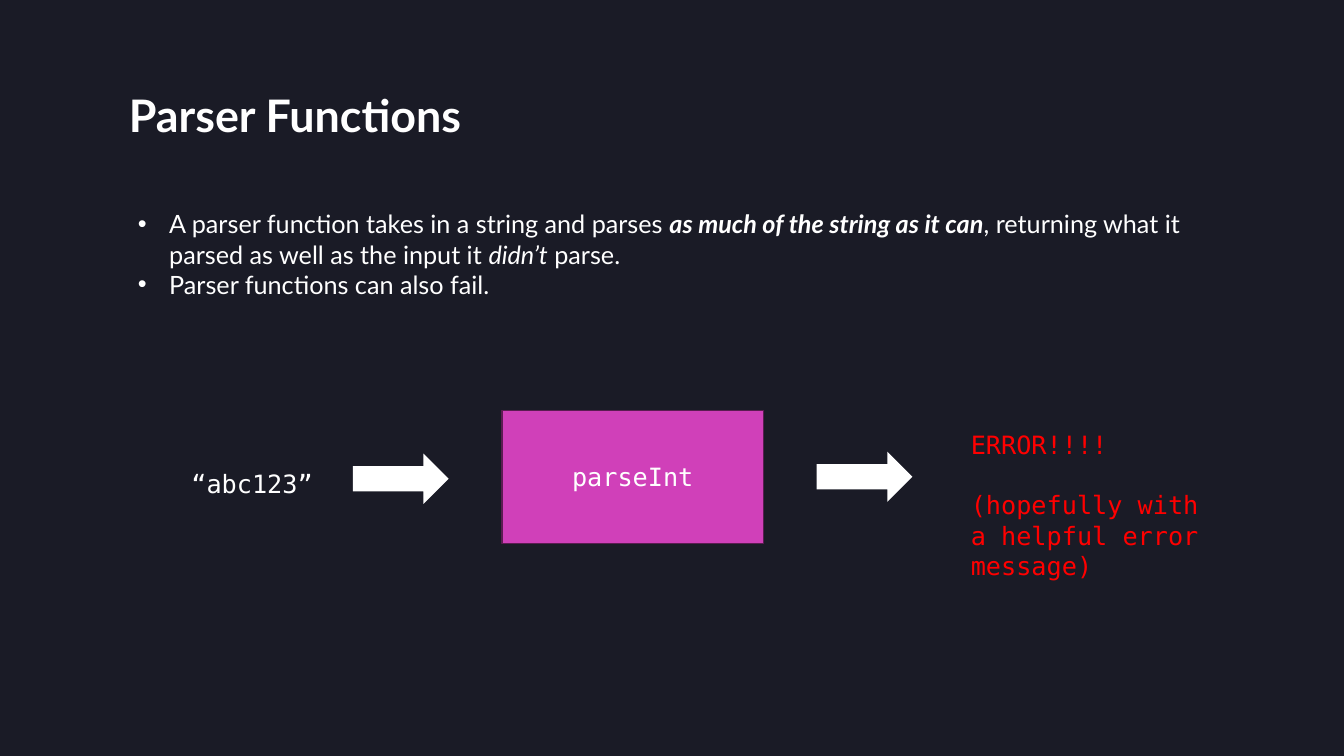
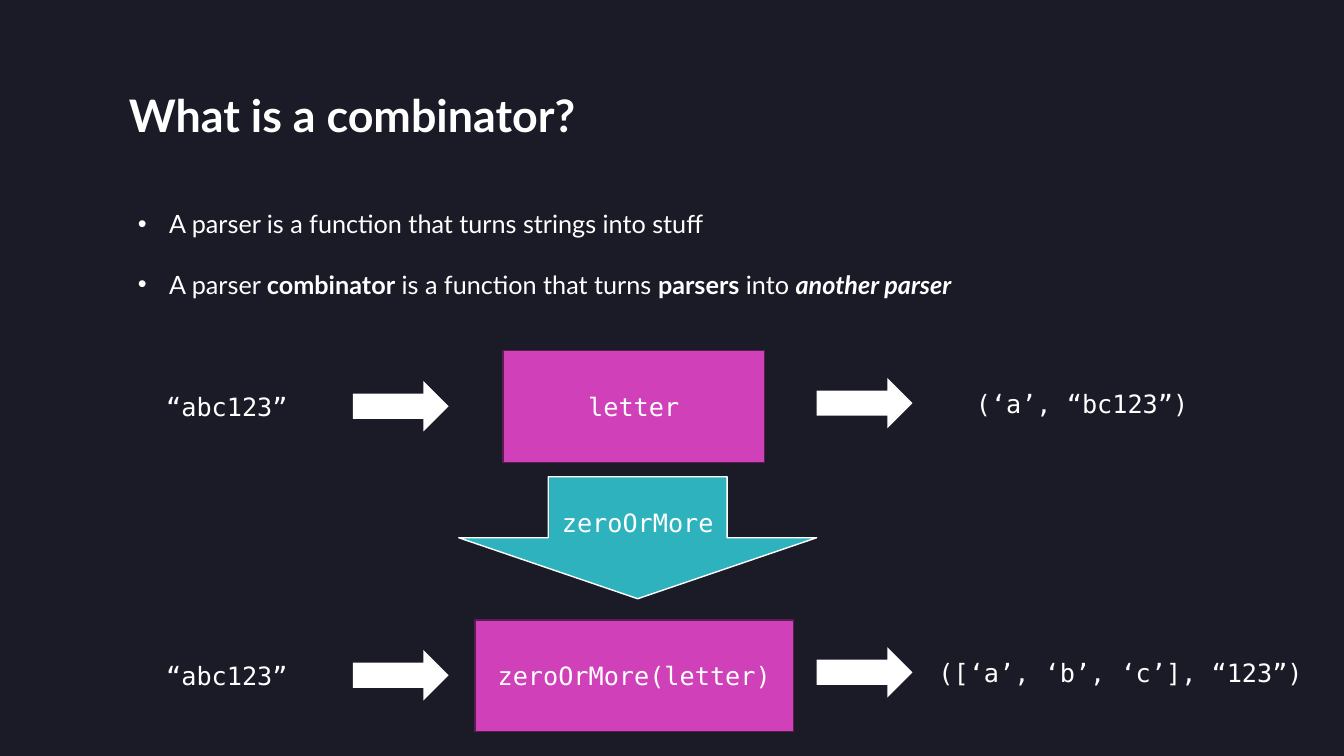
"""Build two slides on parser functions and parser combinators."""
from dataclasses import dataclass

from lxml.etree import SubElement
from pptx import Presentation
from pptx.dml.color import RGBColor
from pptx.enum.shapes import MSO_SHAPE
from pptx.enum.text import MSO_ANCHOR, PP_ALIGN
from pptx.oxml.ns import qn
from pptx.util import Inches, Pt


@dataclass(frozen=True)
class Theme:
    night: str = "1A1B26"
    white: str = "FFFFFF"
    magenta: str = "D040B9"
    plum: str = "5B1C51"
    teal: str = "2EB3BE"
    red: str = "FF0000"
    prose: str = "Lato"
    code: str = "DejaVu Sans Mono"
    title_size: int = 32
    body_size: int = 18
    line_gap: float = 21.5


class Deck:
    def __init__(self, theme):
        self.theme = theme
        self.presentation = Presentation()
        self.presentation.slide_width = Inches(13.33)
        self.presentation.slide_height = Inches(7.5)
        self.slide = None

    def start_slide(self, title):
        self.slide = self.presentation.slides.add_slide(self.presentation.slide_layouts[6])
        background = self.slide.background.fill
        background.solid()
        background.fore_color.rgb = RGBColor.from_string(self.theme.night)
        frame = self.frame(1.18, 0.57, 10.88, 0.88)
        frame.vertical_anchor = MSO_ANCHOR.BOTTOM
        heading = frame.paragraphs[0]
        heading.line_spacing = 1.1
        heading.text = title
        self.style(heading, self.theme.prose, size=self.theme.title_size)
        heading.font.bold = True

    def frame(self, left, top, width, height):
        box = self.slide.shapes.add_textbox(Inches(left), Inches(top), Inches(width), Inches(height))
        box.text_frame.word_wrap = True
        return box.text_frame

    def style(self, paragraph, face, color=None, size=None):
        paragraph.font.name = face
        paragraph.font.size = Pt(size or self.theme.body_size)
        paragraph.font.color.rgb = RGBColor.from_string(color or self.theme.white)

    def paragraphs(self, frame, count, gap):
        for index in range(count):
            paragraph = frame.add_paragraph() if index else frame.paragraphs[0]
            if index and gap:
                paragraph.space_before = Pt(gap)
            yield paragraph

    def bullets(self, points, gap=0):
        frame = self.frame(1.27, 2.02, 10.79, 1.62)
        for paragraph, point in zip(self.paragraphs(frame, len(points), gap), points):
            properties = paragraph._p.get_or_add_pPr()
            properties.set("marL", str(Inches(0.31)))
            properties.set("indent", str(-Inches(0.31)))
            SubElement(properties, qn("a:buFont"), typeface="Arial")
            SubElement(properties, qn("a:buChar"), char="•")
            self.style(paragraph, self.theme.prose)
            for words, emphasis in point:
                run = paragraph.add_run()
                run.text = words
                if "b" in emphasis:
                    run.font.bold = True
                if "i" in emphasis:
                    run.font.italic = True

    def code(self, lines, left, top, width, height=0.4, color=None):
        frame = self.frame(left, top, width, height)
        for paragraph, line in zip(self.paragraphs(frame, len(lines), self.theme.line_gap), lines):
            paragraph.text = line
            self.style(paragraph, self.theme.code, color)

    def block(self, preset, left, top, width, height, fill, outline=None, label=None):
        shape = self.slide.shapes.add_shape(
            preset, Inches(left), Inches(top), Inches(width), Inches(height))
        shape.shadow.inherit = False
        shape.fill.solid()
        shape.fill.fore_color.rgb = RGBColor.from_string(fill)
        if outline:
            shape.line.color.rgb = RGBColor.from_string(outline)
            shape.line.width = Pt(1)
        else:
            shape.line.fill.background()
        if label:
            shape.text_frame.word_wrap = True
            shape.text_frame.vertical_anchor = MSO_ANCHOR.MIDDLE
            caption = shape.text_frame.paragraphs[0]
            caption.alignment = PP_ALIGN.CENTER
            caption.text = label
            self.style(caption, self.theme.code)

    def parser(self, name, left, top, width, height):
        self.block(MSO_SHAPE.RECTANGLE, left, top, width, height,
                   self.theme.magenta, self.theme.plum, name)

    def flow_arrows(self, input_top, output_top):
        for left, top in ((3.5, input_top), (8.1, output_top)):
            self.block(MSO_SHAPE.RIGHT_ARROW, left, top, 0.95, 0.5, self.theme.white)

    def combinator(self, name, left, top, width, height):
        self.block(MSO_SHAPE.DOWN_ARROW, left, top, width, height,
                   self.theme.teal, self.theme.white, name)

    def save(self):
        self.presentation.save("out.pptx")


def parser_functions(deck):
    deck.start_slide("Parser Functions")
    deck.bullets([
        [("A parser function takes in a string and parses ", ""),
         ("as much of the string as it can", "bi"),
         (", returning what it parsed as well as the input it ", ""),
         ("didn’t", "i"), (" parse.", "")],
        [("Parser functions can also fail.", "")],
    ])
    deck.parser("parseInt", 4.98, 4.07, 2.59, 1.32)
    deck.code(["“abc123”"], 1.8, 4.6, 2.06)
    deck.flow_arrows(4.5, 4.48)
    deck.code(["ERROR!!!!", "(hopefully with a helpful error message)"],
              9.53, 4.21, 2.59, 1.62, deck.theme.red)


def combinators(deck):
    deck.start_slide("What is a combinator?")
    deck.bullets([
        [("A parser is a function that turns strings into stuff", "")],
        [("A parser ", ""), ("combinator", "b"), (" is a function that turns ", ""),
         ("parsers", "b"), (" into ", ""), ("another parser", "bi")],
    ], deck.theme.line_gap)
    rows = (
        (3.48, "letter", 4.99, 2.59, "(‘a’, “bc123”)", 9.58, 2.73),
        (6.15, "zeroOrMore(letter)", 4.71, 3.16, "([‘a’, ‘b’, ‘c’], “123”)", 9.21, 4.06),
    )
    for top, name, left, width, result, result_left, result_width in rows:
        deck.parser(name, left, top, width, 1.11)
        deck.code(["“abc123”"], 1.55, top + 0.35, 2.06)
        deck.flow_arrows(top + 0.3, top + 0.27)
        deck.code([result], result_left, top + 0.32, result_width)
    deck.combinator("zeroOrMore", 4.55, 4.73, 3.55, 1.21)


def main():
    deck = Deck(Theme())
    parser_functions(deck)
    combinators(deck)
    deck.save()


if __name__ == "__main__":
    main()
